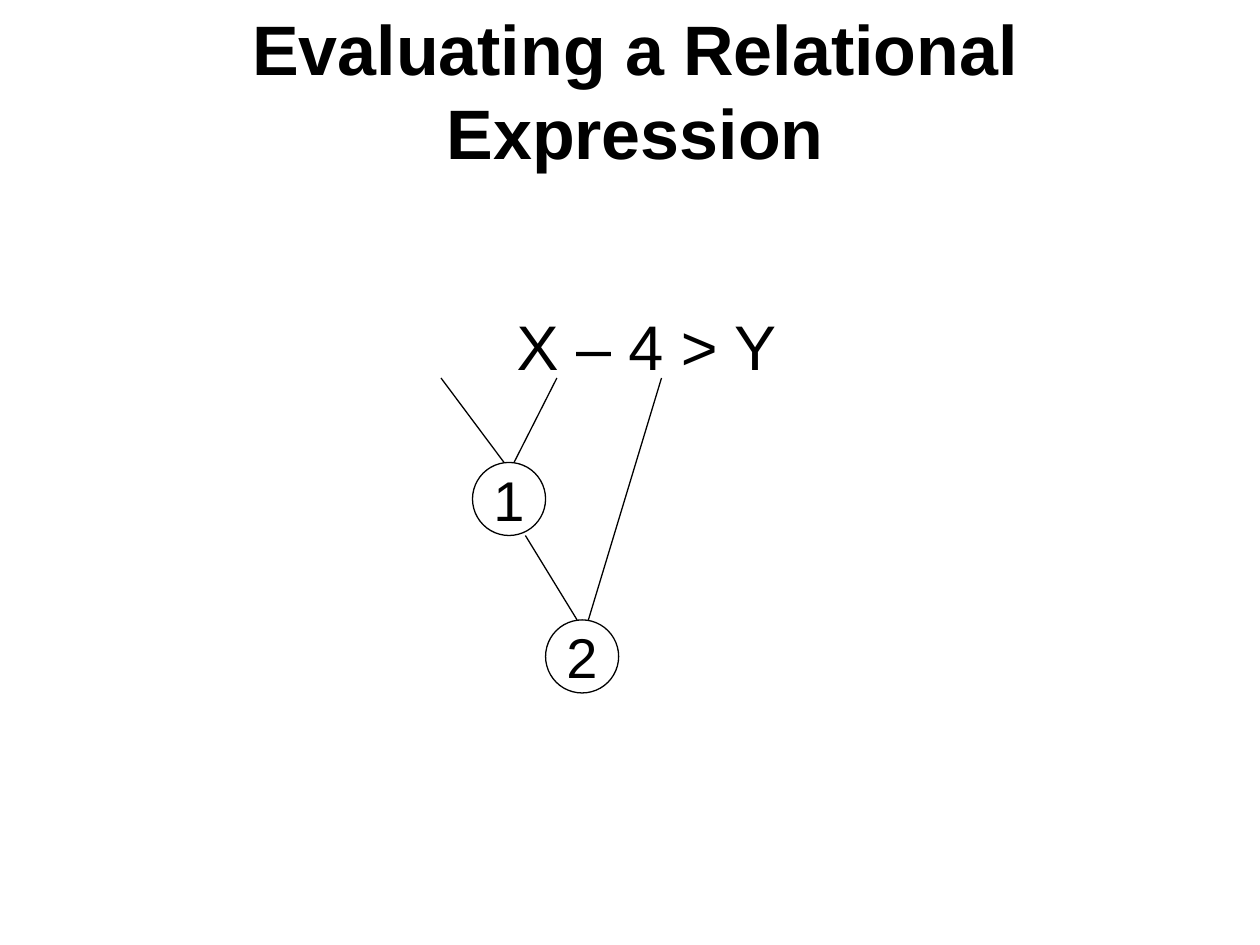
from dataclasses import dataclass

from lxml import etree
from pptx import Presentation
from pptx.dml.color import RGBColor
from pptx.enum import shapes, text
from pptx.oxml.ns import qn
from pptx.util import Inches, Pt


@dataclass(frozen=True)
class Theme:
    face: str = "Arial"
    ink: RGBColor = RGBColor(0, 0, 0)
    head: int = 40
    body: int = 36
    node: int = 32
    rule: float = 0.75


THEME = Theme()
SIZE = 0.58  # node diameter
NODES = [("1", 3.75, 3.67), ("2", 4.33, 4.92)]
EDGES = [
    (3.5, 3, 4, 3.67),
    (4.17, 4.25, 4.58, 4.92),
    (4.42, 3, 4.08, 3.67),
    (5.25, 3, 4.67, 4.92),
]


def apply(obj, form):
    for key, val in form.items():
        setattr(obj, key, val)


def place(shape, *box):
    sides = ("left", "top", "width", "height")
    apply(shape, dict(zip(sides, map(Inches, box))))


def indent(line, left):
    """Indent a paragraph and take its bullet away."""
    props = line._p.get_or_add_pPr()
    props.set("marL", str(Inches(left)))
    props.set("indent", "0")
    etree.SubElement(props, qn("a:buNone"))


def write(shape, words, size, frame, para, bold=False, left=0):
    """Put one paragraph in a shape, with frame and paragraph formats."""
    box = shape.text_frame
    box.text = words
    apply(box, {"auto_size": text.MSO_AUTO_SIZE.NONE, **frame})
    line = box.paragraphs[0]
    indent(line, left)
    apply(line, {"space_before": Pt(0), **para})
    apply(line.font, {"name": THEME.face, "size": Pt(size), "bold": bold})
    line.font.color.rgb = THEME.ink


def stroke(shape):
    shape.line.color.rgb = THEME.ink
    shape.line.width = Pt(THEME.rule)


def add_title(slide):
    title = slide.shapes.title
    place(title, 0.33, 0.17, 9.42, 1.08)
    write(title, "Evaluating a Relational Expression", THEME.head,
          {"vertical_anchor": text.MSO_ANCHOR.MIDDLE,
           "margin_left": Inches(0.3), "margin_right": Inches(0.3)},
          {"alignment": text.PP_ALIGN.CENTER}, bold=True)


def add_body(slide):
    body = slide.placeholders[1]
    place(body, 0.25, 1.67, 9.5, 5.67)
    write(body, "X – 4 > Y", THEME.body,
          {"margin_top": Inches(0.77)}, {}, left=3.75)


def add_node(slide, label, left, top):
    node = slide.shapes.add_shape(
        shapes.MSO_SHAPE.OVAL, *map(Inches, (left, top, SIZE, SIZE)))
    node.shadow.inherit = False
    node.fill.background()
    stroke(node)
    write(node, label, THEME.node,
          {"vertical_anchor": text.MSO_ANCHOR.MIDDLE, "word_wrap": False},
          {"alignment": text.PP_ALIGN.CENTER})


def add_edge(slide, *ends):
    edge = slide.shapes.add_connector(
        shapes.MSO_CONNECTOR.STRAIGHT, *map(Inches, ends))
    stroke(edge)
    etree.SubElement(edge._element.spPr, qn("a:effectLst"))


def main():
    deck = Presentation()
    apply(deck, {"slide_width": Inches(10), "slide_height": Inches(7.5)})
    slide = deck.slides.add_slide(deck.slide_layouts[1])
    add_title(slide)
    add_body(slide)
    for node in NODES:
        add_node(slide, *node)
    for edge in EDGES:
        add_edge(slide, *edge)
    deck.save("out.pptx")


if __name__ == "__main__":
    main()
